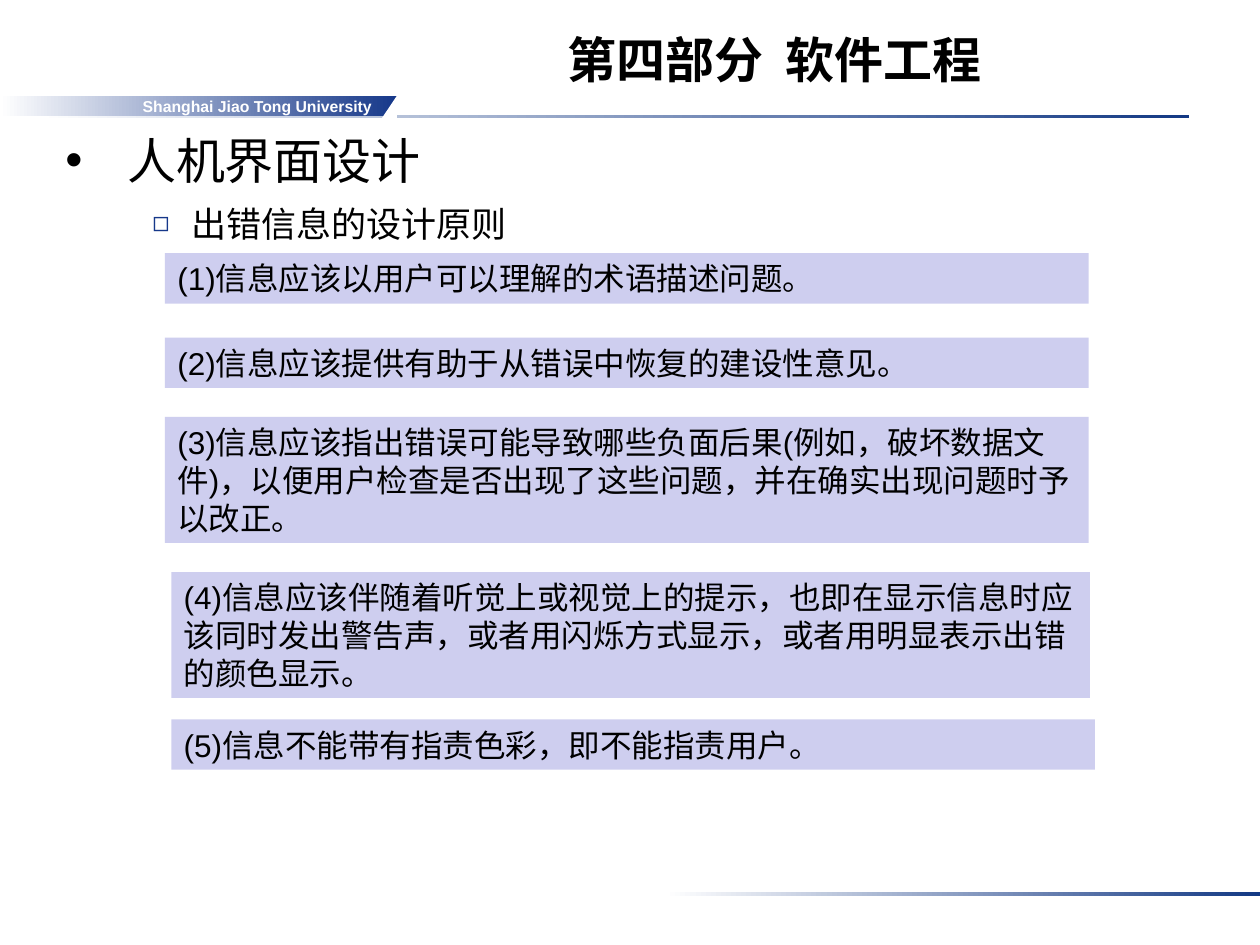
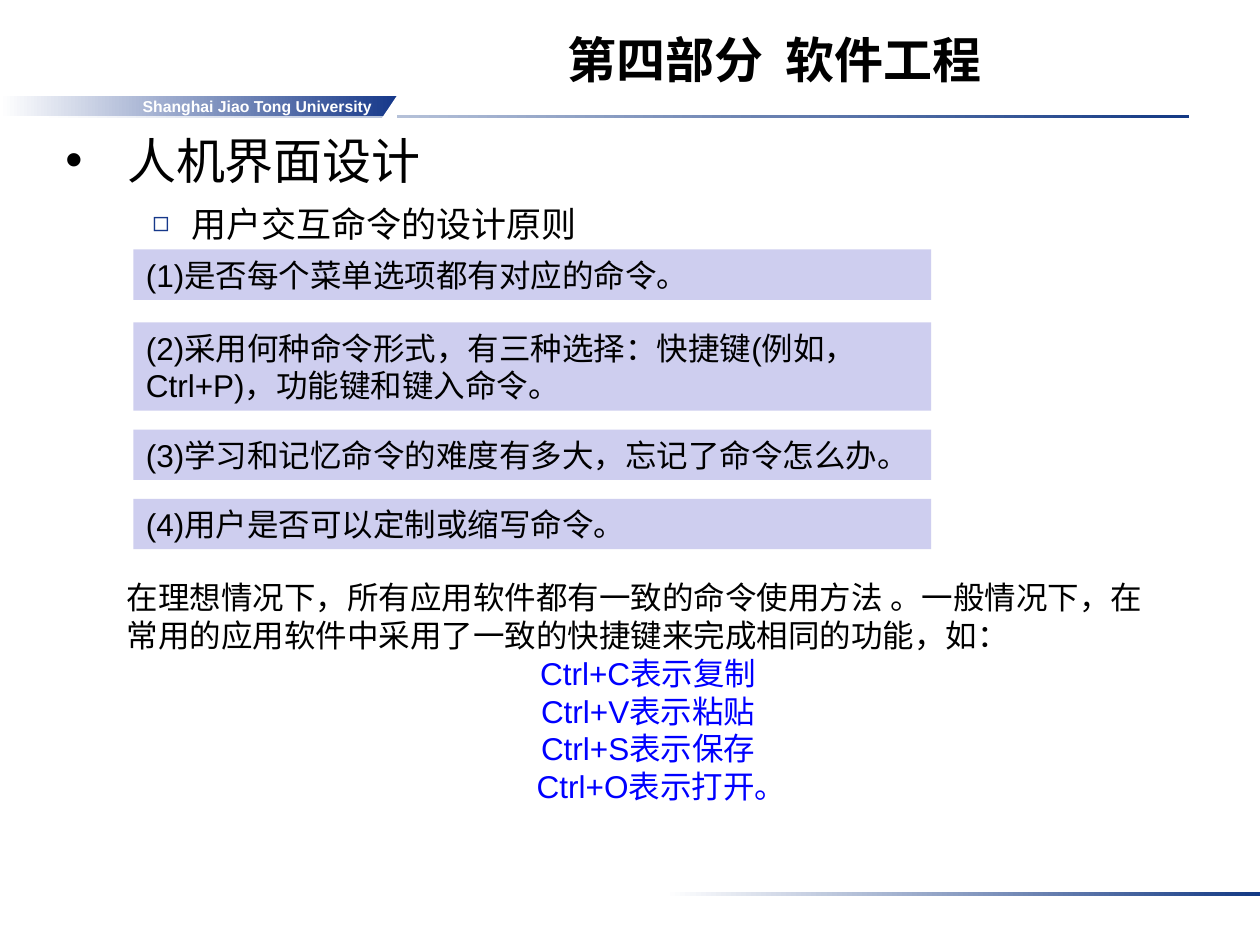
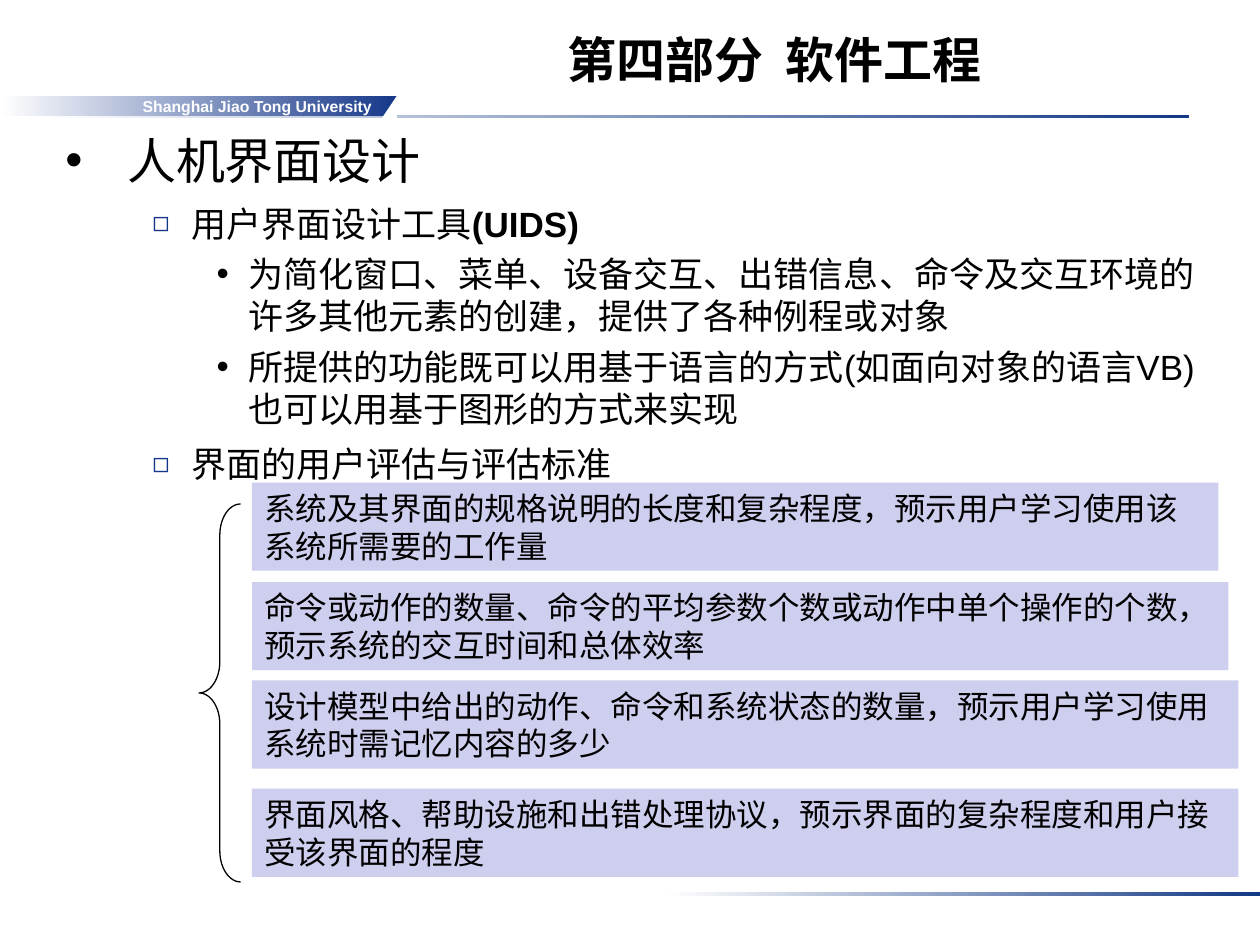
from pptx import Presentation
from pptx.dml.color import RGBColor
from pptx.enum.lang import MSO_LANGUAGE_ID as Language
from pptx.enum.shapes import MSO_SHAPE as Shape
from pptx.enum.text import MSO_ANCHOR as Anchor, PP_ALIGN as Align
from pptx.oxml.ns import qn
from pptx.util import Inches, Pt
from lxml.etree import SubElement

BLACK = RGBColor(0x00, 0x00, 0x00)
WHITE = RGBColor(0xFF, 0xFF, 0xFF)
NAVY = RGBColor(0x13, 0x39, 0x84)
BANNER_BLUE = RGBColor(0x16, 0x38, 0x8A)
LAVENDER = RGBColor(0xCE, 0xCE, 0xEF)
KEY_BLUE = RGBColor(0x00, 0x00, 0xFF)

LATIN = "Arial"
CHINESE = "Noto Sans CJK SC"
TITLE = "第四部分  软件工程"
TOPIC = "人机界面设计"

# Outline levels: text indent, bullet, line spacing, space before
LEVELS = [
    dict(margin=0.49, hanging=0.49, bullet="•", color=BLACK, percent=100,
         size=28, spacing=1.1, before=0),
    dict(margin=1, hanging=0.31, bullet="◻", color=BANNER_BLUE, percent=80,
         size=20, spacing=1.1, before=5),
    dict(margin=1.45, hanging=0.25, bullet="•", color=BLACK, percent=100,
         size=20, spacing=1, before=5),
]


def add_run(paragraph, text, size, color=BLACK, bold=False, name=LATIN):
    run = paragraph.add_run()
    run.text = text
    formats = dict(size=Pt(size), bold=bold, name=name,
                   language_id=Language.SIMPLIFIED_CHINESE)
    for attribute, value in formats.items():
        setattr(run.font, attribute, value)
    run.font.color.rgb = color
    east_asian = SubElement(run.font._element, qn("a:ea"))
    east_asian.set("typeface", CHINESE)


def set_frame(shape, anchor=Anchor.TOP, left=0.1, right=0.1, top=0.05, bottom=0.05):
    frame = shape.text_frame
    formats = dict(word_wrap=True, vertical_anchor=anchor,
                   margin_left=Inches(left), margin_right=Inches(right),
                   margin_top=Inches(top), margin_bottom=Inches(bottom))
    for attribute, value in formats.items():
        setattr(frame, attribute, value)
    return frame


def add_text_box(slide, box, anchor=Anchor.TOP):
    return set_frame(slide.shapes.add_textbox(*map(Inches, box)), anchor)


def add_plain_shape(slide, kind, box, fill=None):
    shape = slide.shapes.add_shape(kind, *map(Inches, box))
    shape.shadow.inherit = False
    shape.line.fill.background()
    if fill is not None:
        shape.fill.solid()
        shape.fill.fore_color.rgb = fill
    return shape


def add_fading_bar(slide, box, color):
    bar = add_plain_shape(slide, Shape.RECTANGLE, box)
    bar.fill.gradient()
    bar.fill.gradient_angle = 0
    for stop, position, shade in zip(bar.fill.gradient_stops, (0, 1), (WHITE, color)):
        stop.position = position
        stop.color.rgb = shade
    return bar


def add_banner(slide, box):
    """University banner with its slanted right end."""
    left, top, width, height = box
    banner = add_fading_bar(slide, box, BANNER_BLUE)
    frame = set_frame(banner, Anchor.MIDDLE, right=0.2, top=0, bottom=0)
    paragraph = frame.paragraphs[0]
    paragraph.alignment = Align.RIGHT
    add_run(paragraph, "Shanghai Jiao Tong University", 9, WHITE, bold=True)
    corner_box = (left + width - 0.12, top, 0.12, height + 0.02)
    corner = add_plain_shape(slide, Shape.RIGHT_TRIANGLE, corner_box, WHITE)
    corner._element.spPr.xfrm.set("flipH", "1")


def add_outline(slide, box, items):
    """Bulleted outline; each item is a level followed by its text and a bold tail."""
    frame = add_text_box(slide, box)
    for number, (level, text, *bold_tail) in enumerate(items):
        style = LEVELS[level]
        paragraph = frame.add_paragraph() if number else frame.paragraphs[0]
        paragraph.level = level
        paragraph.line_spacing = style["spacing"]
        paragraph.space_before = Pt(style["before"])
        # Bullet
        properties = paragraph._p.get_or_add_pPr()
        properties.set("marL", str(Inches(style["margin"])))
        properties.set("indent", str(-Inches(style["hanging"])))
        color = SubElement(properties, qn("a:buClr"))
        SubElement(color, qn("a:srgbClr")).set("val", str(style["color"]))
        SubElement(properties, qn("a:buSzPct")).set("val", str(style["percent"] * 1000))
        SubElement(properties, qn("a:buFont")).set("typeface", LATIN)
        SubElement(properties, qn("a:buChar")).set("char", style["bullet"])
        # Text
        name = LATIN if level == 2 else CHINESE
        add_run(paragraph, text, style["size"], name=name)
        for tail in bold_tail:
            add_run(paragraph, tail, style["size"], bold=True)


def add_notes_column(slide, notes, name=LATIN):
    """Lavender boxes; each note is left, top, width, line count and text."""
    for left, top, width, lines, text in notes:
        box = (left, top, width, 0.1 + 0.3 * lines)
        shape = add_plain_shape(slide, Shape.RECTANGLE, box, LAVENDER)
        paragraph = set_frame(shape).paragraphs[0]
        paragraph.alignment = Align.LEFT
        add_run(paragraph, text, 18, name=name)


def add_shortcuts(slide, box, introduction, shortcuts):
    frame = add_text_box(slide, box)
    add_run(frame.paragraphs[0], introduction, 18)
    for text in shortcuts:
        paragraph = frame.add_paragraph()
        paragraph.alignment = Align.CENTER
        add_run(paragraph, text, 18, KEY_BLUE)
    # The last line sits slightly right of centre
    paragraph._p.get_or_add_pPr().set("marL", str(Inches(0.21)))


def add_brace(slide, box):
    brace = add_plain_shape(slide, Shape.LEFT_BRACE, box)
    brace.fill.background()
    brace.line.color.rgb = BLACK
    brace.line.width = Pt(0.75)
    brace.adjustments[0] = 0.75


def add_course_slide(presentation, outline):
    """Bands, title and outline shared by every slide."""
    slide = presentation.slides.add_slide(presentation.slide_layouts[6])
    add_fading_bar(slide, (0.31, 0.91, 9.13, 0.03), NAVY)
    add_fading_bar(slide, (5.28, 7.08, 4.72, 0.03), NAVY)
    add_banner(slide, (0, 0.76, 3.15, 0.16))
    title = add_text_box(slide, (2.59, 0, 7.11, 0.75), Anchor.BOTTOM).paragraphs[0]
    title.alignment = Align.CENTER
    add_run(title, TITLE, 28, bold=True)
    add_outline(slide, (0.42, 0.94, 9.35, 6.3), [(0, TOPIC), *outline])
    return slide


def build_error_messages(presentation):
    slide = add_course_slide(presentation, [(1, "出错信息的设计原则")])
    add_notes_column(slide, [
        (1.31, 2.01, 7.33, 1, "(1)信息应该以用户可以理解的术语描述问题。"),
        (1.31, 2.68, 7.33, 1, "(2)信息应该提供有助于从错误中恢复的建设性意见。"),
        (1.31, 3.31, 7.33, 3, "(3)信息应该指出错误可能导致哪些负面后果(例如，破坏数据文件)，"
                              "以便用户检查是否出现了这些问题，并在确实出现问题时予以改正。"),
        (1.36, 4.54, 7.29, 3, "(4)信息应该伴随着听觉上或视觉上的提示，也即在显示信息时应该同时"
                              "发出警告声，或者用闪烁方式显示，或者用明显表示出错的颜色显示。"),
        (1.36, 5.71, 7.33, 1, "(5)信息不能带有指责色彩，即不能指责用户。"),
    ])


def build_commands(presentation):
    slide = add_course_slide(presentation, [(1, "用户交互命令的设计原则")])
    left, width = 1.06, 6.33
    add_notes_column(slide, [
        (left, 1.98, width, 1, "(1)是否每个菜单选项都有对应的命令。"),
        (left, 2.56, width, 2, "(2)采用何种命令形式，有三种选择：快捷键(例如，Ctrl+P)，"
                               "功能键和键入命令。"),
        (left, 3.41, width, 1, "(3)学习和记忆命令的难度有多大，忘记了命令怎么办。"),
        (left, 3.96, width, 1, "(4)用户是否可以定制或缩写命令。"),
    ])
    add_shortcuts(
        slide, (0.91, 4.54, 8.47, 1.9),
        "在理想情况下，所有应用软件都有一致的命令使用方法 。一般情况下，"
        "在常用的应用软件中采用了一致的快捷键来完成相同的功能，如：",
        ["Ctrl+C表示复制", "Ctrl+V表示粘贴", "Ctrl+S表示保存", "Ctrl+O表示打开。"])


def build_design_tools(presentation):
    slide = add_course_slide(presentation, [
        (1, "用户界面设计工具", "(UIDS)"),
        (2, "为简化窗口、菜单、设备交互、出错信息、命令及交互环境的许多其他元素的创建，"
            "提供了各种例程或对象"),
        (2, "所提供的功能既可以用基于语言的方式(如面向对象的语言VB)"
            "也可以用基于图形的方式来实现"),
        (1, "界面的用户评估与评估标准"),
    ])
    add_notes_column(slide, [
        (2, 3.83, 7.67, 2, "系统及其界面的规格说明的长度和复杂程度，"
                           "预示用户学习使用该系统所需要的工作量"),
        (2, 4.62, 7.75, 2, "命令或动作的数量、命令的平均参数个数或动作中单个操作的个数，"
                           "预示系统的交互时间和总体效率"),
        (2, 5.4, 7.83, 2, "设计模型中给出的动作、命令和系统状态的数量，"
                          "预示用户学习使用系统时需记忆内容的多少"),
        (2, 6.26, 7.83, 2, "界面风格、帮助设施和出错处理协议，"
                           "预示界面的复杂程度和用户接受该界面的程度"),
    ], CHINESE)
    add_brace(slide, (1.58, 4, 0.33, 3))


def main():
    presentation = Presentation()
    presentation.slide_width = Inches(10)
    presentation.slide_height = Inches(7.5)
    for build in (build_error_messages, build_commands, build_design_tools):
        build(presentation)
    presentation.save("out.pptx")


if __name__ == "__main__":
    main()
